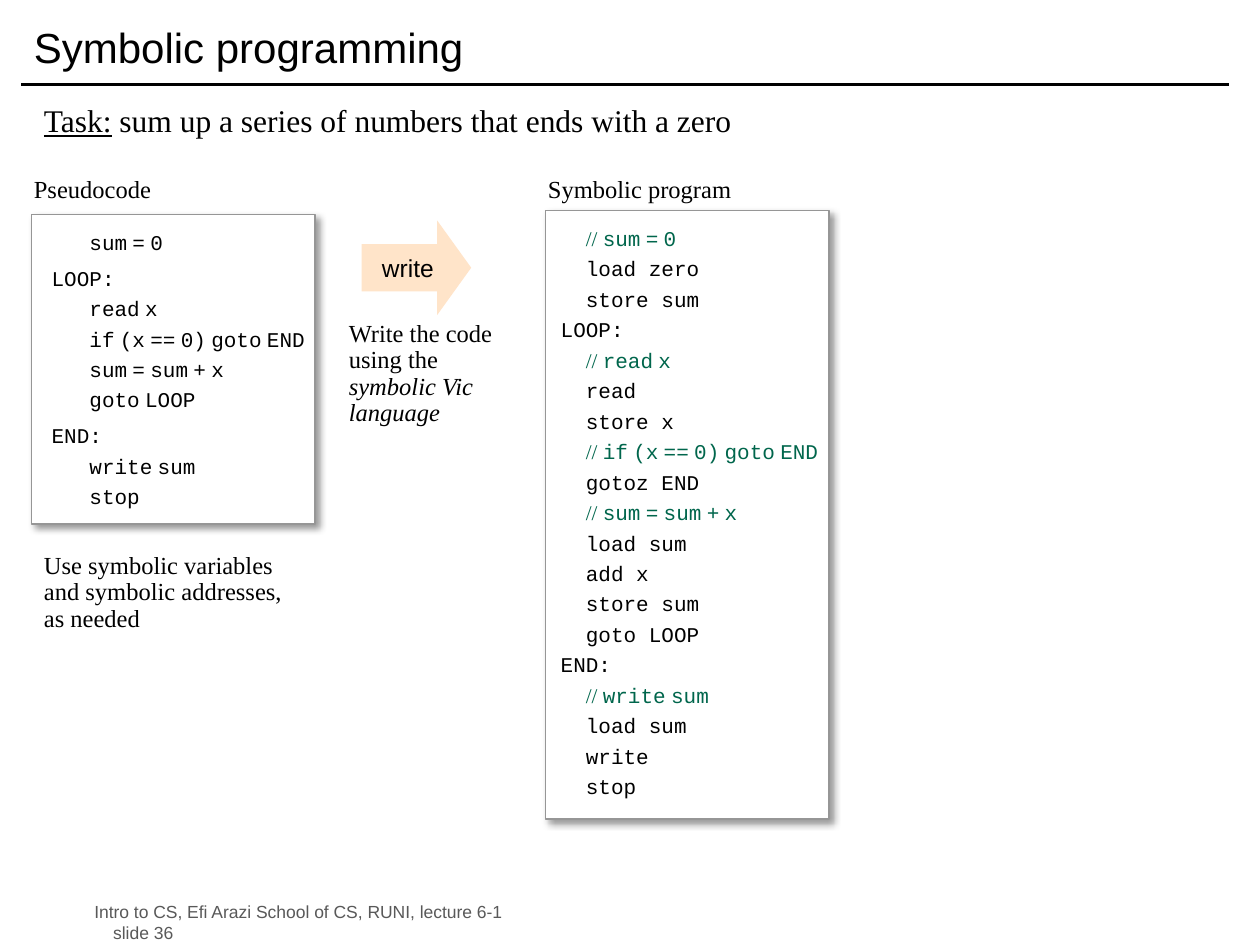
from dataclasses import dataclass
from itertools import groupby

from lxml.etree import SubElement as Sub
from pptx import Presentation
from pptx.dml.color import RGBColor as RGB
from pptx.enum.shapes import MSO_CONNECTOR as Line, MSO_SHAPE as Shape
from pptx.enum.text import MSO_ANCHOR as Anchor, PP_ALIGN as Align
from pptx.oxml.ns import qn
from pptx.util import Inches, Pt

TITLE = "Symbolic programming"
TASK = [("Task:", {"under": True}),
        (" sum up a series of numbers that ends with a zero", {})]
WRITE = [("Write the code using the ", {}),
         ("symbolic Vic language", {"slant": True})]
HINT = ["Use symbolic variables and symbolic addresses,", "as needed"]
FOOT = ["Intro to CS, Efi Arazi School of CS, RUNI, lecture 6-1", "slide 36"]

PSEUDO = """\
   sum = 0
LOOP:
   read x
   if (x == 0) goto END
   sum = sum + x
   goto LOOP
END:
   write sum
   stop""".split("\n")

SYMBOLIC = """\
  // sum = 0
  load zero
  store sum
LOOP:
  // read x
  read
  store x
  // if (x == 0) goto END
  gotoz END
  // sum = sum + x
  load sum
  add x
  store sum
  goto LOOP
END:
  // write sum
  load sum
  write
  stop""".split("\n")


@dataclass
class Theme:
    sans: str = "Arial"
    serif: str = "Times New Roman"
    mono: str = "Courier New"
    ink: str = "000000"
    paper: str = "FFFFFF"
    edge: str = "969696"
    note: str = "00664C"
    arrow: str = "FFE4C9"
    faint: str = "595959"
    title: int = 24
    task: int = 18
    body: int = 14
    code: int = 12
    foot: int = 10


T = Theme()


def color(code):
    return RGB.from_string(code)


def fill(para, runs, size, face=T.serif, ink=T.ink):
    """Add runs to a paragraph; each run may override face, ink, under, slant."""
    for text, look in runs:
        run = para.add_run()
        run.text = text
        font = run.font
        font.size = Pt(size)
        font.name = look.get("face", face)
        font.color.rgb = color(look.get("ink", ink))
        font.underline = look.get("under")
        font.italic = look.get("slant")


def frame(shape, inset, anchor):
    body = shape.text_frame
    body.word_wrap = True
    body.vertical_anchor = anchor
    left, top, right, bottom = map(Inches, inset)
    body.margin_left, body.margin_top = left, top
    body.margin_right, body.margin_bottom = right, bottom
    return body


def paras(body, count):
    return [body.paragraphs[0]] + [body.add_paragraph() for _ in range(count - 1)]


def label(slide, at, lines, size, face=T.serif, ink=T.ink, anchor=Anchor.TOP, pitch=None):
    box = slide.shapes.add_textbox(*map(Inches, at))
    body = frame(box, (0.1, 0.05, 0.1, 0.05), anchor)
    items = paras(body, len(lines))
    for para, line in zip(items, lines):
        runs = [(line, {})] if isinstance(line, str) else line
        fill(para, runs, size, face, ink)
        para.line_spacing = pitch
    return items


def block(slide, kind, at, paint):
    shape = slide.shapes.add_shape(kind, *map(Inches, at))
    shape.shadow.inherit = False
    shape.fill.solid()
    shape.fill.fore_color.rgb = color(paint)
    shape.line.fill.background()
    return shape


def shade(shape):
    effects = shape._element.spPr.find(qn("a:effectLst"))
    outer = Sub(effects, qn("a:outerShdw"), blurRad=str(Pt(4)), dist=str(Pt(3)),
                dir=str(45 * 60000), algn="tl", rotWithShape="0")
    tint = Sub(outer, qn("a:srgbClr"), val=T.ink)
    Sub(tint, qn("a:alpha"), val="40000")


def parts(line, loose):
    """Split a code line into runs; loose lines have narrow serif inner spaces."""
    text = line.lstrip()
    lead = line[:len(line) - len(text)]
    note = text.startswith("//")
    look = {"ink": T.note if note else T.ink}
    runs = [(lead, {})] if lead else []
    if not (loose or note):
        return runs + [(text, look)]
    for thin, chars in groupby(text, lambda c: c in " /"):
        face = T.serif if thin else T.mono
        runs.append(("".join(chars), {**look, "face": face}))
    return runs


def listing(slide, at, lines, inset, anchor, loose=False):
    box = block(slide, Shape.RECTANGLE, at, T.paper)
    box.line.color.rgb = color(T.edge)
    box.line.width = Pt(0.75)
    shade(box)
    items = paras(frame(box, inset, anchor), len(lines))
    for i, (para, line) in enumerate(zip(items, lines)):
        para.alignment = Align.LEFT
        if i:
            para.space_before = Pt(6 if loose and line.endswith(":") else 3)
        fill(para, parts(line, loose), T.code, T.mono)


def main():
    deck = Presentation()
    deck.slide_width, deck.slide_height = Inches(10), Inches(7.5)
    slide = deck.slides.add_slide(deck.slide_layouts[6])

    rule = slide.shapes.add_connector(
        Line.STRAIGHT, *map(Inches, (0.17, 0.67, 9.75, 0.67)))
    rule.line.color.rgb = color(T.ink)
    rule.line.width = Pt(2)
    Sub(rule._element.spPr, qn("a:effectLst"))

    foot = label(slide, (0.65, 7.19, 8.6, 0.25), FOOT, T.foot, T.sans, T.faint, Anchor.MIDDLE)
    foot[1]._p.get_or_add_pPr().set("marL", str(Inches(0.15)))
    label(slide, (0.17, 0.08, 9.58, 0.58), [TITLE], T.title, T.sans, anchor=Anchor.MIDDLE)
    label(slide, (0.25, 0.75, 8, 0.33), [TASK], T.task)

    for left, head in ((0.17, "Pseudocode"), (4.25, "Symbolic program")):
        label(slide, (left, 1.33, 2.42, 0.42), [head], T.body)
    listing(slide, (0.25, 1.7, 2.25, 2.46), PSEUDO, (0.16, 0, 0, 0), Anchor.MIDDLE, loose=True)
    listing(slide, (4.33, 1.67, 2.25, 4.83), SYMBOLIC, (0.12, 0.12, 0, 0.21), Anchor.TOP)

    label(slide, (2.67, 2.5, 1.5, 1.46), [WRITE], T.body, pitch=0.9)
    label(slide, (0.25, 4.34, 2.25, 1.46), HINT, T.body, pitch=0.9)

    arrow = block(slide, Shape.RIGHT_ARROW, (2.87, 1.75, 0.87, 0.75), T.arrow)
    arrow.adjustments[1] = 0.36
    para = frame(arrow, (0.1, 0.05, 0.1, 0.05), Anchor.MIDDLE).paragraphs[0]
    para.alignment = Align.CENTER
    fill(para, [("write", {})], T.body, T.sans)

    deck.save("out.pptx")


if __name__ == "__main__":
    main()
